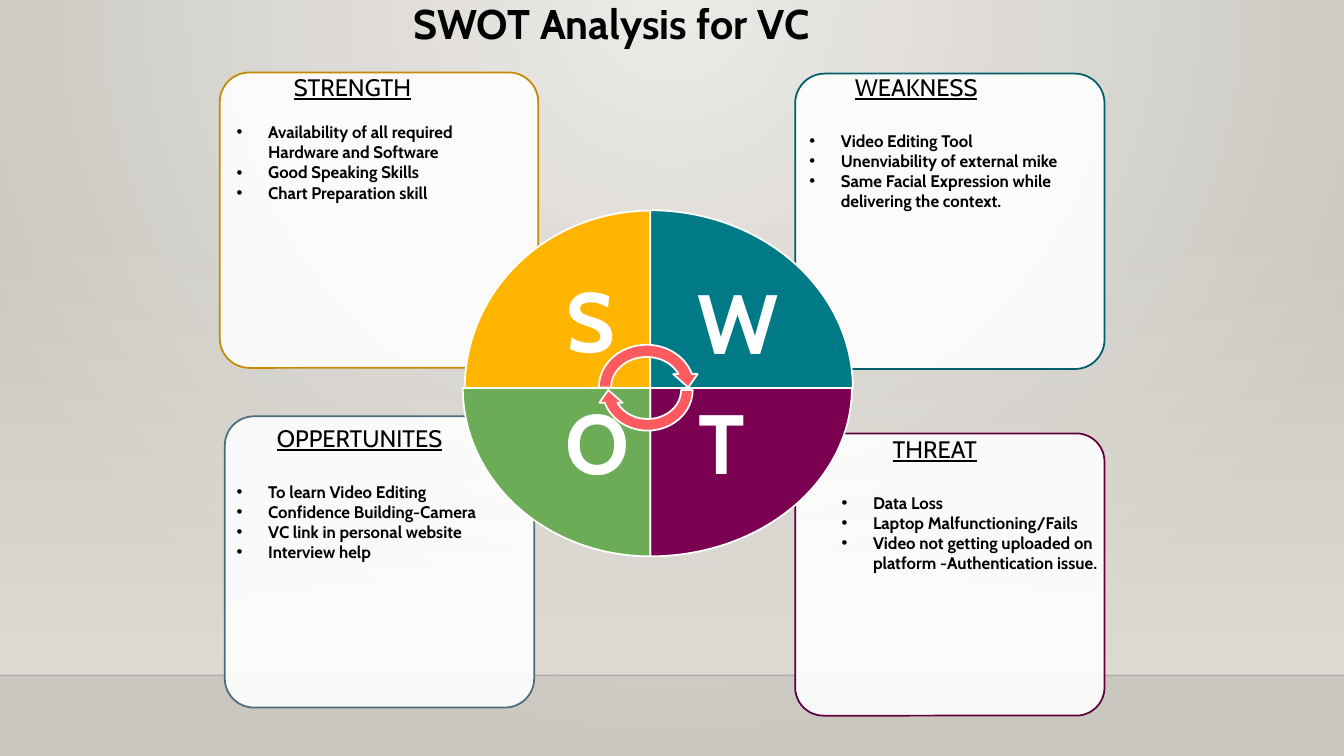
from collections import namedtuple

from lxml.etree import SubElement
from pptx import Presentation
from pptx.dml.color import RGBColor
from pptx.enum.shapes import MSO_CONNECTOR, MSO_SHAPE
from pptx.enum.text import MSO_ANCHOR, PP_ALIGN
from pptx.oxml.ns import qn
from pptx.util import Pt

FONT = "Cabin"
COLORS = {
    "wall_light": "ECEAE7", "wall_dark": "CAC7C1", "floor": "DFDBD5",
    "horizon": "000001", "ink": "000000", "white": "FFFFFF", "cycle": "FF5A5F",
    "strength": "FFB400", "strength_edge": "C48A00",
    "weakness": "007A87", "weakness_edge": "005E68",
    "opportunity": "6CAC57", "opportunity_edge": "4C6E7A",
    "threat": "7B0051", "threat_edge": "5F003E",
}
HUB_X, HUB_Y = 464.5, 277.2
BULLET_INDENT = 22.5

Quadrant = namedtuple(
    "Quadrant",
    "key letter right below turn wedge letter_size card note heading indent gap points")
QUADRANTS = [
    Quadrant("strength", "S", False, False, 0, (132.5, 126.7), (93.6, 89.3),
             (157, 51.8, 227.5, 211), (162, 48.5, 195.8, 131),
             "STRENGTH", 40.8, 14.6,
             ["Availability of all required Hardware and Software",
              "Good Speaking Skills", "Chart Preparation skill"]),
    Quadrant("weakness", "W", True, False, 90, (144.7, 127), (102.2, 87.1),
             (568, 52.6, 221, 211), (571, 48.5, 210.2, 180.7),
             "WEAKNESS", 32.5, 20.7,
             ["Video Editing Tool", "Unenviability of external mike",
              "Same Facial Expression while delivering the context."]),
    Quadrant("threat", "T", True, True, 180, (144, 120.2), (102.2, 85),
             (568, 309.6, 221, 201.6), (594, 307, 200.2, 166.3),
             "THREAT", 36.6, 20.7,
             ["Data Loss", "Laptop Malfunctioning/Fails",
              "Video not getting uploaded on platform -Authentication issue."]),
    Quadrant("opportunity", "O", False, True, 270, (133.9, 120.2), (94.3, 85),
             (160.6, 297.4, 221, 208), (162, 299.1, 211.7, 108),
             "OPPERTUNITES", 28.7, 20.7,
             ["To learn Video Editing", "Confidence Building-Camera",
              "VC link in personal website", "Interview help"]),
]


def rgb(name):
    return RGBColor.from_string(COLORS[name])


def set_alpha(color_parent, percent):
    color = color_parent.find(".//" + qn("a:srgbClr"))
    SubElement(color, qn("a:alpha")).set("val", str(percent * 1000))


def add_block(slide, preset, box, fill, line=None, turn=0):
    block = slide.shapes.add_shape(preset, *map(Pt, box))
    block.shadow.inherit = False
    block.rotation = turn
    block.fill.solid()
    block.fill.fore_color.rgb = rgb(fill)
    if line:
        block.line.color.rgb = rgb(line)
        block.line.width = Pt(1.25)
    else:
        block.line.fill.background()
    return block


def add_text_frame(slide, box):
    frame = slide.shapes.add_textbox(*map(Pt, box)).text_frame
    frame.word_wrap = True
    return frame


def style(paragraph, size, color="ink", bold=False, underline=False):
    font = paragraph.font
    font.name, font.size = FONT, Pt(size)
    font.bold, font.underline = bold, underline
    font.color.rgb = rgb(color)


def set_indent(paragraph, left, bullet=False):
    properties = paragraph._p.get_or_add_pPr()
    properties.set("marL", str(Pt(left)))
    if bullet:
        properties.set("indent", str(-Pt(left)))
        SubElement(properties, qn("a:buFont")).set("typeface", "Arial")
        SubElement(properties, qn("a:buChar")).set("char", "•")


def set_stops(fill, *names):
    for stop, name in zip(fill.gradient_stops, names):
        stop.color.rgb = rgb(name)


def draw_backdrop(slide, width, horizon_y):
    wall = slide.background.fill
    wall.gradient()
    set_stops(wall, "wall_light", "wall_dark")
    gradient = slide._element.find(".//" + qn("a:gradFill"))
    gradient.remove(gradient.find(qn("a:lin")))
    radial = SubElement(gradient, qn("a:path"))
    radial.set("path", "circle")
    center = SubElement(radial, qn("a:fillToRect"))
    for side, value in zip("ltrb", (43000, 0, 43000, 100000)):
        center.set(side, str(value))

    haze = add_block(slide, MSO_SHAPE.RECTANGLE, (0, 159, width, horizon_y - 159), "floor")
    haze.fill.gradient()
    haze.fill.gradient_angle = 270
    set_stops(haze.fill, "floor", "floor")
    set_alpha(haze._element.find(".//" + qn("a:gs")), 0)

    horizon = slide.shapes.add_connector(
        MSO_CONNECTOR.STRAIGHT, 0, Pt(horizon_y), Pt(width), Pt(horizon_y))
    horizon.line.color.rgb = rgb("horizon")
    horizon.line.width = Pt(1)
    set_alpha(horizon._element.spPr, 20)
    SubElement(horizon._element.spPr, qn("a:effectLst"))


def draw_title(slide, box):
    frame = add_text_frame(slide, box)
    frame.vertical_anchor = MSO_ANCHOR.MIDDLE
    title = frame.paragraphs[0]
    title.text = "SWOT Analysis for VC"
    title.line_spacing = 0.8
    set_indent(title, 120)
    style(title, 29.6, bold=True)


def draw_card(slide, quadrant):
    card = add_block(slide, MSO_SHAPE.ROUNDED_RECTANGLE, quadrant.card,
                     "white", quadrant.key + "_edge")
    card.adjustments[0] = 0.1
    set_alpha(card._element.spPr.find(qn("a:solidFill")), 90)


def box_at_hub(quadrant, size):
    width, height = size
    left = HUB_X if quadrant.right else HUB_X - width
    top = HUB_Y if quadrant.below else HUB_Y - height
    return left, top, width, height


def draw_wedge(slide, quadrant):
    left, top, width, height = box_at_hub(quadrant, quadrant.wedge)
    if quadrant.turn % 180:
        shift = (width - height) / 2
        left, top, width, height = left + shift, top - shift, height, width
    add_block(slide, MSO_SHAPE.PIE_WEDGE, (left, top, width, height),
              quadrant.key, "white", quadrant.turn)

    frame = add_text_frame(slide, box_at_hub(quadrant, quadrant.letter_size))
    frame.vertical_anchor = MSO_ANCHOR.MIDDLE
    frame.margin_left = frame.margin_right = Pt(33.6)
    frame.margin_top = frame.margin_bottom = Pt(33.6)
    letter = frame.paragraphs[0]
    letter.text = quadrant.letter
    letter.alignment = PP_ALIGN.CENTER
    letter.line_spacing = 0.9
    style(letter, 60, "white", bold=True)


def draw_cycle(slide):
    for box, turn in (((423.4, 241.9, 77, 69.8), 0), ((426.2, 245.5, 72.7, 66.2), 180)):
        add_block(slide, MSO_SHAPE.CIRCULAR_ARROW, box, "cycle", "white", turn)


def draw_note(slide, quadrant):
    frame = add_text_frame(slide, quadrant.note)
    heading = frame.paragraphs[0]
    heading.text = quadrant.heading
    set_indent(heading, quadrant.indent)
    style(heading, 17, underline=True)
    for index, text in enumerate(quadrant.points):
        point = frame.add_paragraph()
        point.text = text
        set_indent(point, BULLET_INDENT, bullet=True)
        if index == 0:
            point.space_before = Pt(quadrant.gap)
        style(point, 12, bold=True)


def main():
    deck = Presentation()
    deck.slide_width, deck.slide_height = Pt(960), Pt(540)
    slide = deck.slides.add_slide(deck.slide_layouts[6])
    draw_backdrop(slide, 960, 482.4)
    draw_title(slide, (168, 0, 620.6, 38.9))
    for draw in (draw_card, draw_wedge):
        for quadrant in QUADRANTS:
            draw(slide, quadrant)
    draw_cycle(slide)
    for quadrant in QUADRANTS:
        draw_note(slide, quadrant)
    deck.save("out.pptx")


if __name__ == "__main__":
    main()
